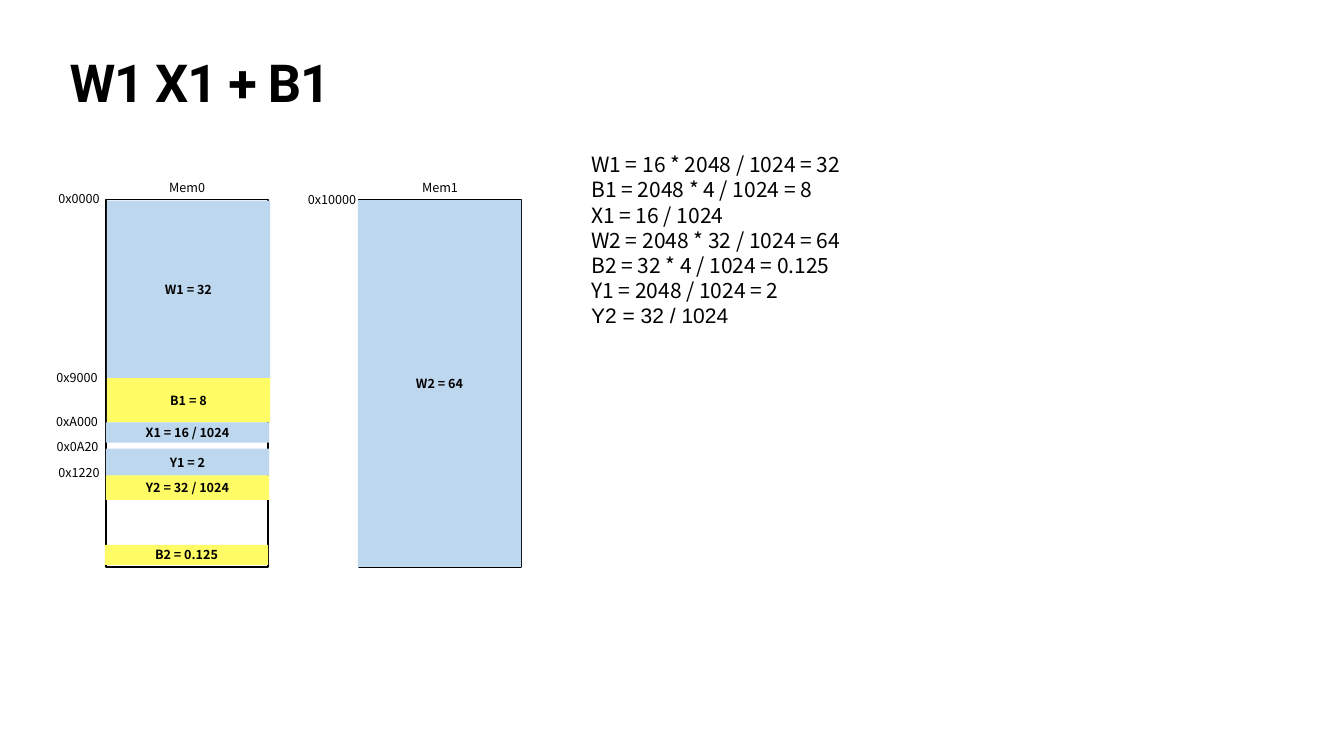
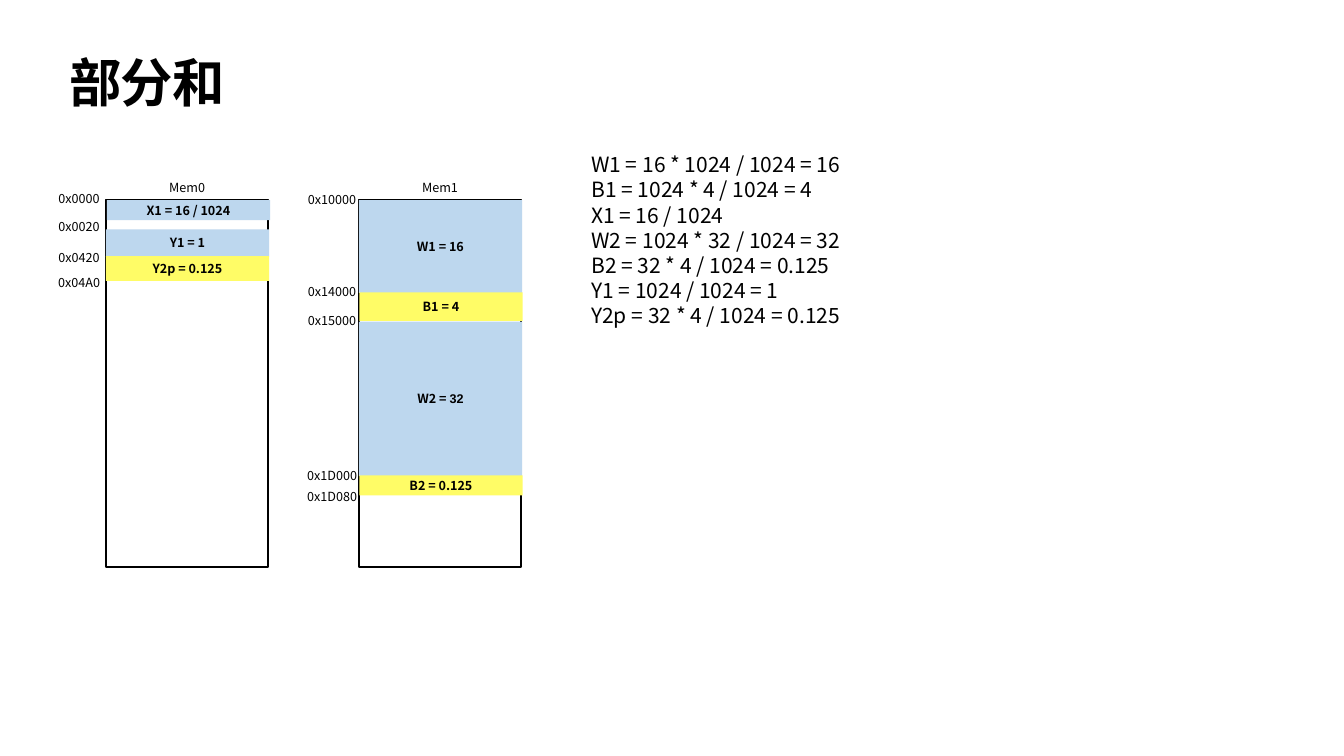
import pptx
import pptx.dml.color
import pptx.enum.shapes
import pptx.enum.text
import pptx.oxml
import pptx.oxml.ns
import pptx.util
from dataclasses import dataclass
from typing import Any

Pt = pptx.util.Pt
RGB = pptx.dml.color.RGBColor
Align = pptx.enum.text.PP_ALIGN
Anchor = pptx.enum.text.MSO_ANCHOR

BLACK = RGB(0x00, 0x00, 0x00)
BLUE = RGB(0xBD, 0xD7, 0xEE)
YELLOW = RGB(0xFF, 0xFC, 0x66)

HEAD_FONT = "Roboto"
BODY_FONT = "Noto Sans CJK SC"
ALT_FONT = "Arial"

BANK_TOP, BANK_W, BANK_H = 285.1, 231.8, 524.9
BLOCK_W = 233.3
LABEL_W, LABEL_H = 79.2, 28.8
NAME_DX, NAME_TOP = 76.5, 254
MARK_DX = -77.8
MEM0_X, MEM1_X = 151.2, 512.6


@dataclass(frozen=True)
class Block:
    text: str
    top: float
    height: float
    fill: RGB
    dx: float = 0


@dataclass(frozen=True)
class Mark:
    text: str
    top: float
    dx: float = 0


@dataclass(frozen=True)
class Bank:
    name: str
    left: float
    marks: list[Mark]
    blocks: list[Block]


@dataclass(frozen=True)
class Page:
    title: str
    notes: list[str]
    banks: list[Bank]


PAGES = [
    Page(
        "W1 X1 + B1",
        ["W1 = 16 * 2048 / 1024 = 32", "B1 = 2048 * 4 / 1024 = 8",
         "X1 = 16 / 1024", "W2 = 2048 * 32 / 1024 = 64",
         "B2 = 32 * 4 / 1024 = 0.125", "Y1 = 2048 / 1024 = 2",
         "|Y2 = 32 / 1024"],
        [
            Bank("Mem1", MEM1_X, [Mark("0x10000", 270)],
                 [Block("W2 = 64", 285.8, 524.2, BLUE, -1.4)]),
            Bank("Mem0", MEM0_X,
                 [Mark("0x0000", 269.3), Mark("0x9000", 524.9, -2.9),
                  Mark("0xA000", 587.5, -2.9), Mark("0x0A20", 622.8, -2.2),
                  Mark("0x1220", 660.2)],
                 [Block("W1 = 32", 286.6, 253.4, BLUE, 1.4),
                  Block("B1 = 8", 540, 63.4, YELLOW, 1.4),
                  Block("B2 = 0.125", 778.3, 28.8, YELLOW, -1.4),
                  Block("X1 = 16 / 1024", 603.4, 28.8, BLUE),
                  Block("Y1 = 2", 640.8, 38.9, BLUE),
                  Block("Y2 = 32 / 1024", 679, 35.3, YELLOW)]),
        ],
    ),
    Page(
        "部分和",
        ["W1 = 16 * 1024 / 1024 = 16", "B1 = 1024 * 4 / 1024 = 4",
         "X1 = 16 / 1024", "W2 = 1024 * 32 / 1024 = 32",
         "B2 = 32 * 4 / 1024 = 0.125", "Y1 = 1024 / 1024 = 1",
         "Y2p = 32 * 4 / 1024 = 0.125"],
        [
            Bank("Mem1", MEM1_X,
                 [Mark("0x10000", 270), Mark("0x14000", 402.5),
                  Mark("0x15000", 444.2), Mark("0x1D000", 665.3),
                  Mark("0x1D080", 695.5)],
                 [Block("W2 = |32", 459.4, 221, BLUE),
                  Block("W1 = 16", 285.8, 132.5, BLUE),
                  Block("B1 = 4", 417.6, 41, YELLOW, 0.7),
                  Block("B2 = 0.125", 679, 28.8, YELLOW, 0.7)]),
            Bank("Mem0", MEM0_X,
                 [Mark("0x0000", 269.3), Mark("0x0020", 309.6),
                  Mark("0x0420", 353.5), Mark("0x04A0", 389.5)],
                 [Block("X1 = 16 / 1024", 285.8, 28.8, BLUE, 1.4),
                  Block("Y1 = 1", 327.6, 38.9, BLUE),
                  Block("Y2p = 0.125", 365.8, 35.3, YELLOW)]),
        ],
    ),
]


def write(shape: Any, lines: list[str], *, size: float = 18,
          font: str = BODY_FONT, bold: bool = False, align: Any = Align.CENTER,
          anchor: Any = Anchor.TOP, inset: float = 3.6, wrap: bool = False,
          pitch: float | None = None, track: int = 0) -> None:
    """Fill a shape with lines; what follows a bar is set in ALT_FONT."""
    frame = shape.text_frame
    frame.word_wrap = wrap
    frame.vertical_anchor = anchor
    frame.margin_left = frame.margin_right = Pt(inset)
    frame.margin_top = frame.margin_bottom = Pt(inset)
    for i, line in enumerate(lines):
        para = frame.add_paragraph() if i else frame.paragraphs[0]
        para.alignment = align
        if pitch:
            para.line_spacing = pitch
        main, _, alt = line.partition("|")
        for part, face in ((main, font), (alt, ALT_FONT)):
            if not part:
                continue
            run = para.add_run()
            run.text = part
            run.font.size = Pt(size)
            run.font.bold = bold
            run.font.name = face
            run.font.color.rgb = BLACK
            props = run.font._element
            if track:
                props.set("spc", str(track))
            east = pptx.oxml.parse_xml(
                f'<a:ea {pptx.oxml.ns.nsdecls("a")} typeface="{BODY_FONT}"/>')
            props.find(pptx.oxml.ns.qn("a:latin")).addnext(east)


def label(slide: Any, lines: list[str], left: float, top: float,
          width: float = LABEL_W, height: float = LABEL_H,
          **style: Any) -> None:
    box = slide.shapes.add_textbox(Pt(left), Pt(top), Pt(width), Pt(height))
    write(box, lines, **style)


def rect(slide: Any, left: float, top: float, width: float, height: float,
         fill: RGB | None = None) -> Any:
    """Draw a filled box without a line, or an outlined one without a fill."""
    shape = slide.shapes.add_shape(
        pptx.enum.shapes.MSO_SHAPE.RECTANGLE,
        Pt(left), Pt(top), Pt(width), Pt(height))
    shape.shadow.inherit = False
    if fill is None:
        shape.fill.background()
        shape.line.color.rgb = BLACK
        shape.line.width = Pt(2.25)
    else:
        shape.fill.solid()
        shape.fill.fore_color.rgb = fill
        shape.line.fill.background()
    return shape


def draw_bank(slide: Any, bank: Bank) -> None:
    label(slide, [bank.name], bank.left + NAME_DX, NAME_TOP)
    rect(slide, bank.left, BANK_TOP, BANK_W, BANK_H)
    for block in bank.blocks:
        shape = rect(slide, bank.left + block.dx, block.top,
                     BLOCK_W, block.height, block.fill)
        write(shape, [block.text], bold=True, anchor=Anchor.MIDDLE)
    for mark in bank.marks:
        label(slide, [mark.text], bank.left + MARK_DX + mark.dx, mark.top)


def draw_page(slide: Any, page: Page) -> None:
    label(slide, [page.title], 95, 85, 1730, 113, size=74.8, font=HEAD_FONT,
          bold=True, align=Align.LEFT, inset=4.3, wrap=True, pitch=0.8,
          track=-150)
    label(slide, page.notes, 841, 213.1, 957.6, 261.4, size=30,
          align=Align.LEFT, wrap=True)
    for bank in page.banks:
        draw_bank(slide, bank)


def main() -> None:
    deck = pptx.Presentation()
    deck.slide_width, deck.slide_height = Pt(1920), Pt(1080)
    for page in PAGES:
        draw_page(deck.slides.add_slide(deck.slide_layouts[6]), page)
    deck.save("out.pptx")


if __name__ == "__main__":
    main()
